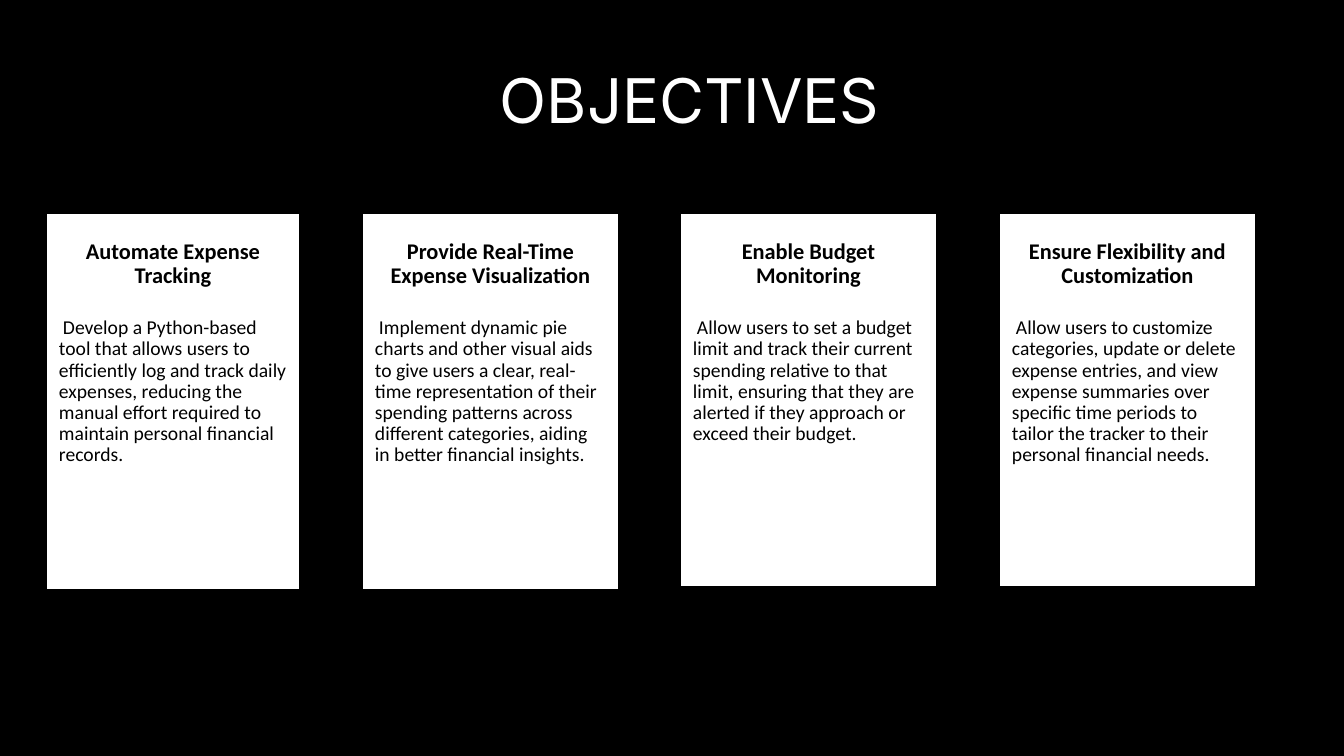
from dataclasses import dataclass

from pptx import Presentation
from pptx.dml.color import RGBColor
from pptx.enum.shapes import MSO_SHAPE
from pptx.enum.text import MSO_ANCHOR, PP_ALIGN
from pptx.slide import Slide
from pptx.text.text import TextFrame
from pptx.util import Emu, Pt

RECTANGLE = MSO_SHAPE.RECTANGLE
TOP = MSO_ANCHOR.TOP
LEFT, CENTER = PP_ALIGN.LEFT, PP_ALIGN.CENTER

EMU_PER_PX = 914400 / 100.8
COLORS = {"black": "000000", "white": "FFFFFF"}

CARD_LEFT, CARD_TOP, CARD_PITCH = 44, 213, 318
BODY_INDENT = 4


@dataclass(frozen=True)
class TextStyle:
    color: str
    font: dict
    paragraph: dict


@dataclass(frozen=True)
class Objective:
    heading: str
    body: str
    width: int = 257
    height: int = 374
    shift: int = 0


TITLE = TextStyle("white", {"name": "Inter", "size": Pt(44), "bold": False},
                  {"alignment": CENTER})
HEADING = TextStyle("black", {"name": "Calibri", "size": Pt(16), "bold": True},
                    {"alignment": CENTER, "line_spacing": 0.9, "space_after": Pt(21)})
BODY = TextStyle("black", {"name": "Calibri", "size": Pt(14), "bold": False},
                 {"alignment": LEFT, "line_spacing": 0.9})

OBJECTIVES = [
    Objective(
        "Automate Expense Tracking",
        "Develop a Python-based tool that allows users to efficiently log and track "
        "daily expenses, reducing the manual effort required to maintain personal "
        "financial records.",
        width=254, height=377, shift=2),
    Objective(
        "Provide Real-Time Expense Visualization",
        "Implement dynamic pie charts and other visual aids to give users a clear, "
        "real-time representation of their spending patterns across different "
        "categories, aiding in better financial insights.",
        height=377),
    Objective(
        "Enable Budget Monitoring",
        "Allow users to set a budget limit and track their current spending relative "
        "to that limit, ensuring that they are alerted if they approach or exceed "
        "their budget."),
    Objective(
        "Ensure Flexibility and Customization",
        "Allow users to customize categories, update or delete expense entries, and "
        "view expense summaries over specific time periods to tailor the tracker to "
        "their personal financial needs.",
        shift=1),
]


def px(length: int) -> Emu:
    return Emu(round(length * EMU_PER_PX))


def rgb(name: str) -> RGBColor:
    return RGBColor.from_string(COLORS[name])


def write(frame: TextFrame, text: str, style: TextStyle,
          first: bool = True, indent: int = 0) -> None:
    paragraph = frame.paragraphs[0] if first else frame.add_paragraph()
    for key, value in style.paragraph.items():
        setattr(paragraph, key, value)
    if indent:
        paragraph._p.get_or_add_pPr().set("indent", str(px(indent)))
    run = paragraph.add_run()
    run.text = text
    for key, value in style.font.items():
        setattr(run.font, key, value)
    run.font.color.rgb = rgb(style.color)


def add_title(slide: Slide, text: str) -> None:
    title = slide.shapes.add_textbox(px(187), px(57), px(1006), px(85))
    title.text_frame.word_wrap = True
    write(title.text_frame, text, TITLE)


def add_card(slide: Slide, column: int, objective: Objective) -> None:
    left = CARD_LEFT + column * CARD_PITCH + objective.shift
    card = slide.shapes.add_shape(RECTANGLE, px(left), px(CARD_TOP),
                                  px(objective.width), px(objective.height))
    card.shadow.inherit = False
    card.fill.solid()
    card.fill.fore_color.rgb = rgb("white")
    card.line.color.rgb = rgb("black")
    card.line.width = Pt(1)

    frame = card.text_frame
    layout = {"word_wrap": True, "vertical_anchor": TOP,
              "margin_left": px(13), "margin_top": px(27),
              "margin_right": px(13), "margin_bottom": px(13)}
    for key, value in layout.items():
        setattr(frame, key, value)
    write(frame, objective.heading, HEADING)
    write(frame, objective.body, BODY, first=False, indent=BODY_INDENT)


def main() -> None:
    presentation = Presentation()
    presentation.slide_width = px(1344)
    presentation.slide_height = px(756)
    slide = presentation.slides.add_slide(presentation.slide_layouts[6])

    # Black background
    slide.background.fill.solid()
    slide.background.fill.fore_color.rgb = rgb("black")

    # Title and one card per objective
    add_title(slide, "OBJECTIVES")
    for column, objective in enumerate(OBJECTIVES):
        add_card(slide, column, objective)

    presentation.save("out.pptx")


if __name__ == "__main__":
    main()
